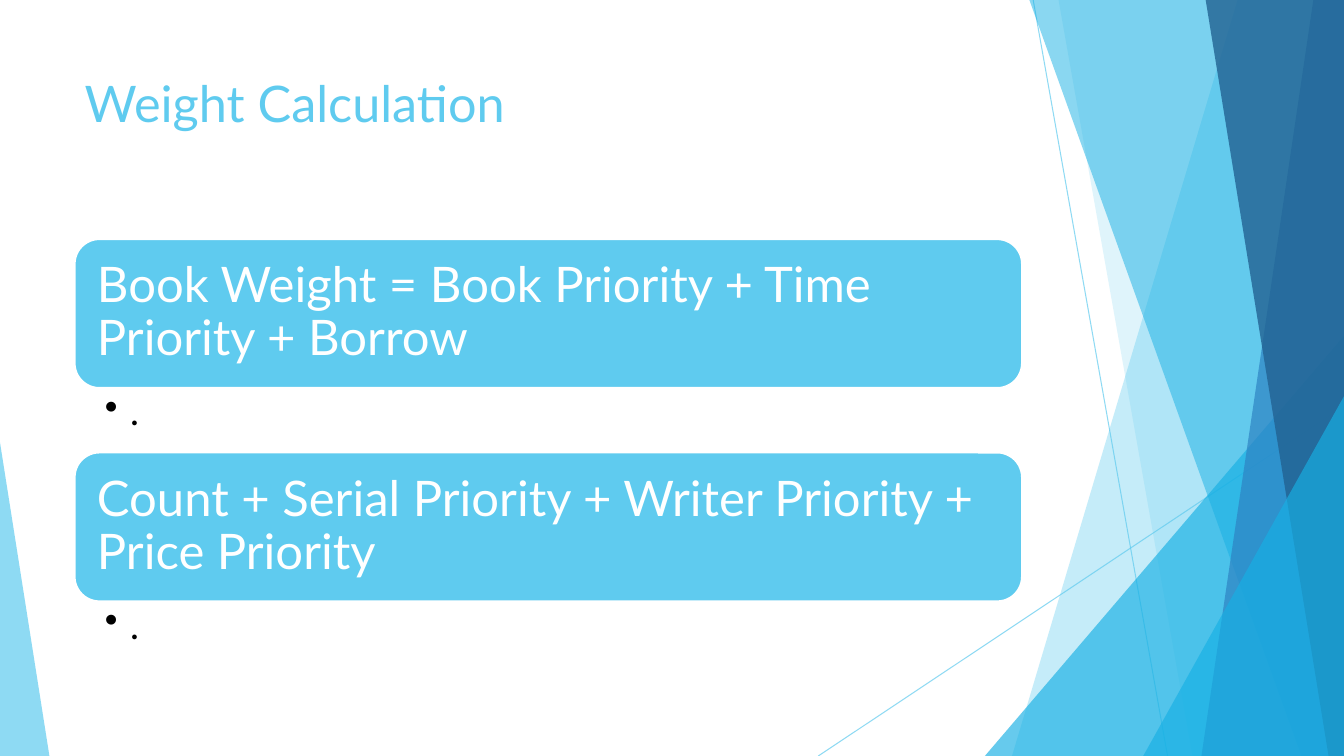
from lxml import etree
from pptx import Presentation
from pptx.dml.color import RGBColor
from pptx.enum import shapes, text
from pptx.oxml import ns
from pptx.util import Pt

WIDTH, HEIGHT = 960, 540
FONT = "Lato"
SKY, AZURE, BLUE, NAVY = "5FCBEF", "17B0E4", "2E83C3", "226292"
WHITE, BLACK = "FFFFFF", "000000"

TITLE = "Weight Calculation"
FORMULAS = [
    ("Book Weight = Book Priority + Time Priority + Borrow", "."),
    ("Count + Serial Priority + Writer Priority + Price Priority", "."),
]
LINES = [(738, 0, 834, 540), (960, 290, 584.5, 540)]
FACETS = [
    ("band", (884.2, 722.9), SKY, 36),
    ("band", (756, 851.8), SKY, 20),
    ("triangle", (703.5, 239.8, 256.5, 1), AZURE, 66),
    ("band", (735.1, 929.5), AZURE, 50),
    ("band", (938.2, 858.2), BLUE, 70),
    ("band", (861.1, 949), NAVY, 80),
    ("triangle", (816.6, 283, 143.4, 1), AZURE, 66),
    ("triangle", (0, 316.1, 35.3, 0), SKY, 70),
]

LEFT, BODY_W = 53.3, 676.8
TITLE_TOP, TITLE_H = 48, 104
CARD_TOP, CARD_H, BULLET_H = 170.8, 106.4, 45.6
STEP = CARD_H + BULLET_H + 0.4


def color(value):
    return RGBColor.from_string(value)


def set_alpha(fill_parent, percent):
    clr = fill_parent.find(".//" + ns.qn("a:srgbClr"))
    etree.SubElement(clr, ns.qn("a:alpha")).set("val", str(percent * 1000))


def paint(sp, fill, alpha=None):
    sp.shadow.inherit = False
    sp.fill.solid()
    sp.fill.fore_color.rgb = color(fill)
    sp.line.fill.background()
    if alpha:
        set_alpha(sp._element.spPr, alpha)


def write(sp, content, size, ink, anchor, margins, spacing=None):
    tf = sp.text_frame
    tf.text = content
    tf.word_wrap = True
    tf.auto_size = text.MSO_AUTO_SIZE.NONE
    tf.vertical_anchor = anchor
    tf.margin_left, tf.margin_top, tf.margin_right, tf.margin_bottom = map(Pt, margins)
    p = tf.paragraphs[0]
    p.alignment = text.PP_ALIGN.LEFT
    if spacing:
        p.line_spacing = spacing
    r = p.runs[0]
    r.font.name = FONT
    r.font.size = Pt(size)
    r.font.color.rgb = color(ink)
    return p


def add_bullet(p):
    pPr = p._p.get_or_add_pPr()
    pPr.set("marL", str(Pt(18)))
    pPr.set("indent", str(-Pt(18)))
    etree.SubElement(pPr, ns.qn("a:buChar")).set("char", "•")


def add_line(s, ends):
    line = s.shapes.add_connector(shapes.MSO_CONNECTOR.STRAIGHT, *map(Pt, ends))
    line.line.color.rgb = color(SKY)
    line.line.width = Pt(0.75)
    set_alpha(line._element.spPr, 70)
    etree.SubElement(line._element.spPr, ns.qn("a:effectLst"))


def add_facet(s, kind, geometry, fill, alpha):
    if kind == "band":
        top_x, bottom_x = geometry
        builder = s.shapes.build_freeform(Pt(top_x), Pt(-0.6))
        corners = [(WIDTH, -0.6), (WIDTH, HEIGHT), (bottom_x, HEIGHT)]
        builder.add_line_segments([(Pt(x), Pt(y)) for x, y in corners])
        sp = builder.convert_to_shape()
    else:
        x, y, w, apex = geometry
        sp = s.shapes.add_shape(shapes.MSO_SHAPE.ISOSCELES_TRIANGLE,
                                Pt(x), Pt(y), Pt(w), Pt(HEIGHT - y))
        sp.adjustments[0] = apex
    paint(sp, fill, alpha)


def add_formula(s, top, formula, note):
    card = s.shapes.add_shape(shapes.MSO_SHAPE.ROUNDED_RECTANGLE,
                              Pt(LEFT), Pt(top), Pt(BODY_W), Pt(CARD_H))
    paint(card, SKY)
    card.line.color.rgb = color(WHITE)
    card.line.width = Pt(1.5)
    write(card, formula, 35, WHITE, text.MSO_ANCHOR.MIDDLE, (10.8,) * 4, 0.9)
    box = s.shapes.add_textbox(Pt(LEFT), Pt(top + CARD_H), Pt(BODY_W), Pt(BULLET_H))
    p = write(box, note, 27, BLACK, text.MSO_ANCHOR.TOP, (21.6, 3.6, 19.4, 3.6), 0.9)
    add_bullet(p)


def main():
    prs = Presentation()
    prs.slide_width, prs.slide_height = Pt(WIDTH), Pt(HEIGHT)
    s = prs.slides.add_slide(prs.slide_layouts[5])
    for ends in LINES:
        add_line(s, ends)
    for facet in FACETS:
        add_facet(s, *facet)
    title = s.shapes.title
    title.left, title.top = Pt(LEFT), Pt(TITLE_TOP)
    title.width, title.height = Pt(BODY_W), Pt(TITLE_H)
    write(title, TITLE, 36, SKY, text.MSO_ANCHOR.TOP, (7.2, 3.6, 7.2, 3.6))
    for i, (formula, note) in enumerate(FORMULAS):
        add_formula(s, CARD_TOP + i * STEP, formula, note)
    prs.save("out.pptx")


if __name__ == "__main__":
    main()
